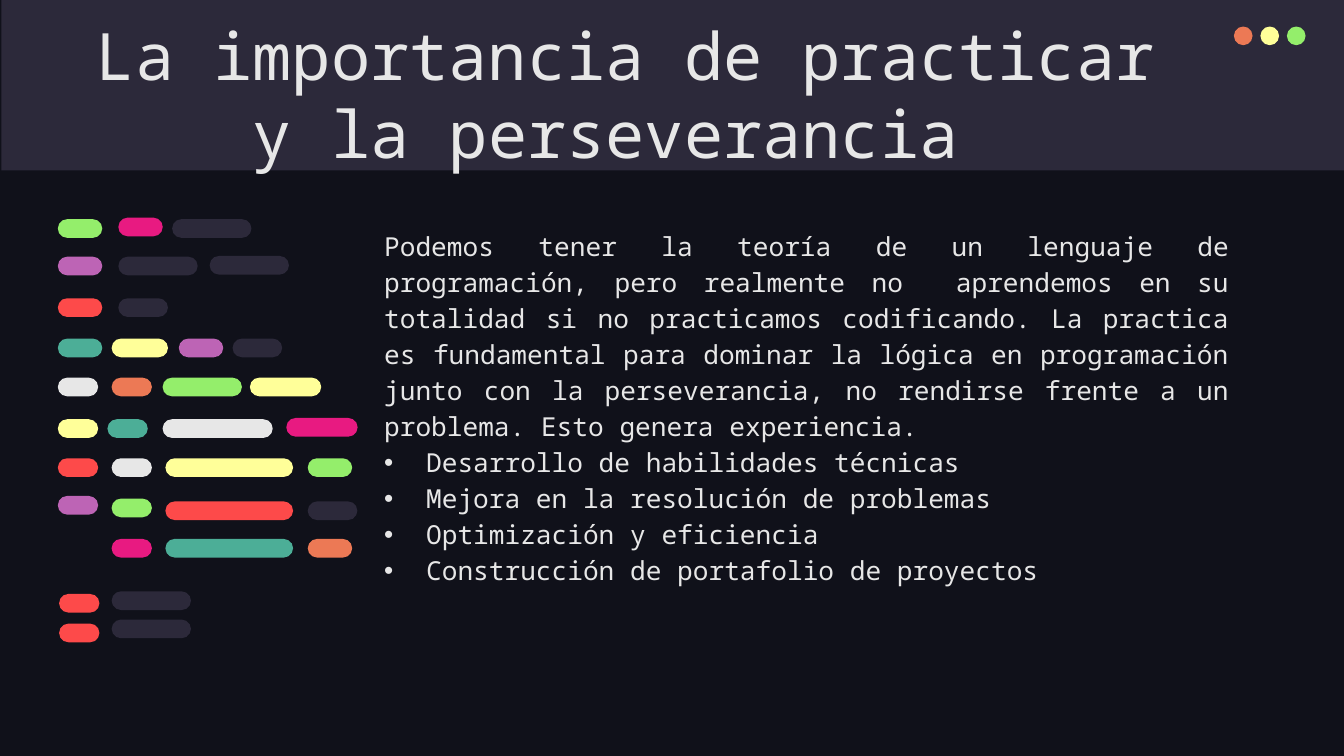
from lxml import etree
from pptx import Presentation
from pptx import util as u
from pptx.dml.color import RGBColor
from pptx.enum import shapes, text
from pptx.oxml.ns import qn

Pt = u.Pt
FONT = "Noto Sans Mono"
NIGHT, SLATE, WHITE = "10111A", "2C293A", "E7E7E7"
ORANGE, YELLOW, GREEN = "EC7955", "FFFF99", "94EE6B"
PINK, PURPLE, RED, TEAL = "E81A81", "BD64B5", "FD4A4A", "4CAE97"

TITLE = "La importancia de practicar y la perseverancia "
INTRO = ("Podemos tener la teoría de un lenguaje de programación, pero realmente no  "
         "aprendemos en su totalidad si no practicamos codificando. La practica es "
         "fundamental para dominar la lógica en programación junto con la "
         "perseverancia, no rendirse frente a un problema. Esto genera experiencia.")
BENEFITS = ["Desarrollo de habilidades técnicas",
            "Mejora en la resolución de problemas",
            "Optimización y eficiencia",
            "Construcción de portafolio de proyectos"]

# Widths of the code tokens
XS, S, M, L, XL, XXL, WIDE = 21.6, 23.8, 26.6, 30.2, 38.2, 42.5, 68.4
# Each code line: top, then tokens as (left, width, colour[, shift down])
CODE_LINES = [
    (0.8, [(0, S, GREEN), (32.4, S, PINK, -0.8), (61.2, XXL, SLATE)]),
    (20.9, [(0, S, PURPLE), (32.4, XXL, SLATE), (81.3, XXL, SLATE, -0.4)]),
    (43.2, [(0, S, RED), (32.4, M, SLATE)]),
    (64.8, [(0, S, TEAL), (28.8, L, YELLOW), (64.8, S, PURPLE), (93.6, M, SLATE)]),
    (85.7, [(0, XS, WHITE), (28.8, XS, ORANGE), (56.1, XXL, GREEN), (102.9, XL, YELLOW)]),
    (108, [(0, XS, YELLOW), (26.6, XS, TEAL), (56.1, 59, WHITE), (122.4, XL, PINK, -0.7)]),
    (128.9, [(0, XS, RED), (28.8, XS, WHITE), (57.6, WIDE, YELLOW), (133.9, S, GREEN)]),
    (149.1, [(0, XS, PURPLE), (28.8, XS, GREEN, 1.4), (57.6, WIDE, RED, 2.9),
             (133.9, M, SLATE, 2.9)]),
    (172.1, [(28.8, XS, PINK), (57.6, WIDE, TEAL), (133.9, S, ORANGE)]),
    (201.6, [(0.7, XS, RED), (28.8, XXL, SLATE, -1.4)]),
    (217.5, [(0.7, XS, RED), (28.8, XXL, SLATE, -2.2)]),
]


def colour(hex_string):
    return RGBColor.from_string(hex_string)


def add_block(parent, kind, left, top, width, height, fill):
    block = parent.add_shape(kind, Pt(left), Pt(top), Pt(width), Pt(height))
    block.shadow.inherit = False
    block.fill.solid()
    block.fill.fore_color.rgb = colour(fill)
    block.line.fill.background()
    return block


def add_frame(slide, left, top, width, height):
    frame = slide.shapes.add_textbox(Pt(left), Pt(top), Pt(width), Pt(height)).text_frame
    frame.word_wrap = True
    frame.vertical_anchor = text.MSO_ANCHOR.TOP
    frame.margin_left = frame.margin_right = Pt(7.2)
    frame.margin_top = frame.margin_bottom = Pt(7.2)
    return frame


def write(paragraph, words, size=14, align=text.PP_ALIGN.JUSTIFY, spacing=1.15, bullet=None):
    paragraph.alignment = align
    paragraph.line_spacing = spacing
    run = paragraph.add_run()
    run.text = words
    run.font.name = FONT
    run.font.size = Pt(size)
    run.font.color.rgb = colour(WHITE)
    if bullet:
        props = paragraph._p.get_or_add_pPr()
        props.set("marL", str(Pt(22.5)))
        props.set("indent", str(Pt(-22.5)))
        tint = etree.SubElement(props, qn("a:buClr"))
        etree.SubElement(tint, qn("a:srgbClr"), val=WHITE)
        etree.SubElement(props, qn("a:buFont"), typeface="Arial")
        etree.SubElement(props, qn("a:buChar"), char=bullet)


def add_header(slide, left, top, width, height):
    add_block(slide.shapes, shapes.MSO_SHAPE.RECTANGLE, left, top, width, height, SLATE)
    # Window buttons
    buttons = slide.shapes.add_group_shape().shapes
    for i, fill in enumerate([ORANGE, YELLOW, GREEN]):
        add_block(buttons, shapes.MSO_SHAPE.OVAL,
                  left + 660.3 + 14.2 * i, top + 14.2, 10, 10, fill)
    # Title
    frame = add_frame(slide, left + 31, top + 0.7, 607, 45.4)
    write(frame.paragraphs[0], TITLE, size=35, align=text.PP_ALIGN.CENTER, spacing=1.0)


def add_body(slide, left, top, width, height):
    frame = add_frame(slide, left, top, width, height)
    write(frame.paragraphs[0], INTRO)
    for benefit in BENEFITS:
        write(frame.add_paragraph(), benefit, bullet="•")


def add_code(slide, left, top):
    code = slide.shapes.add_group_shape().shapes
    for line_top, tokens in CODE_LINES:
        for x, width, fill, *shift in tokens:
            token = add_block(code, shapes.MSO_SHAPE.ROUNDED_RECTANGLE, left + x,
                              top + line_top + sum(shift), width, 10, fill)
            token.adjustments[0] = 0.5


def main():
    deck = Presentation()
    deck.slide_width, deck.slide_height = Pt(720), Pt(405)
    slide = deck.slides.add_slide(deck.slide_layouts[6])
    slide.background.fill.solid()
    slide.background.fill.fore_color.rgb = colour(NIGHT)
    add_header(slide, 0.7, 0, 720, 91.4)
    add_body(slide, 198.7, 113.8, 467.3, 233.3)
    add_code(slide, 31, 116.6)
    deck.save("out.pptx")


if __name__ == "__main__":
    main()
